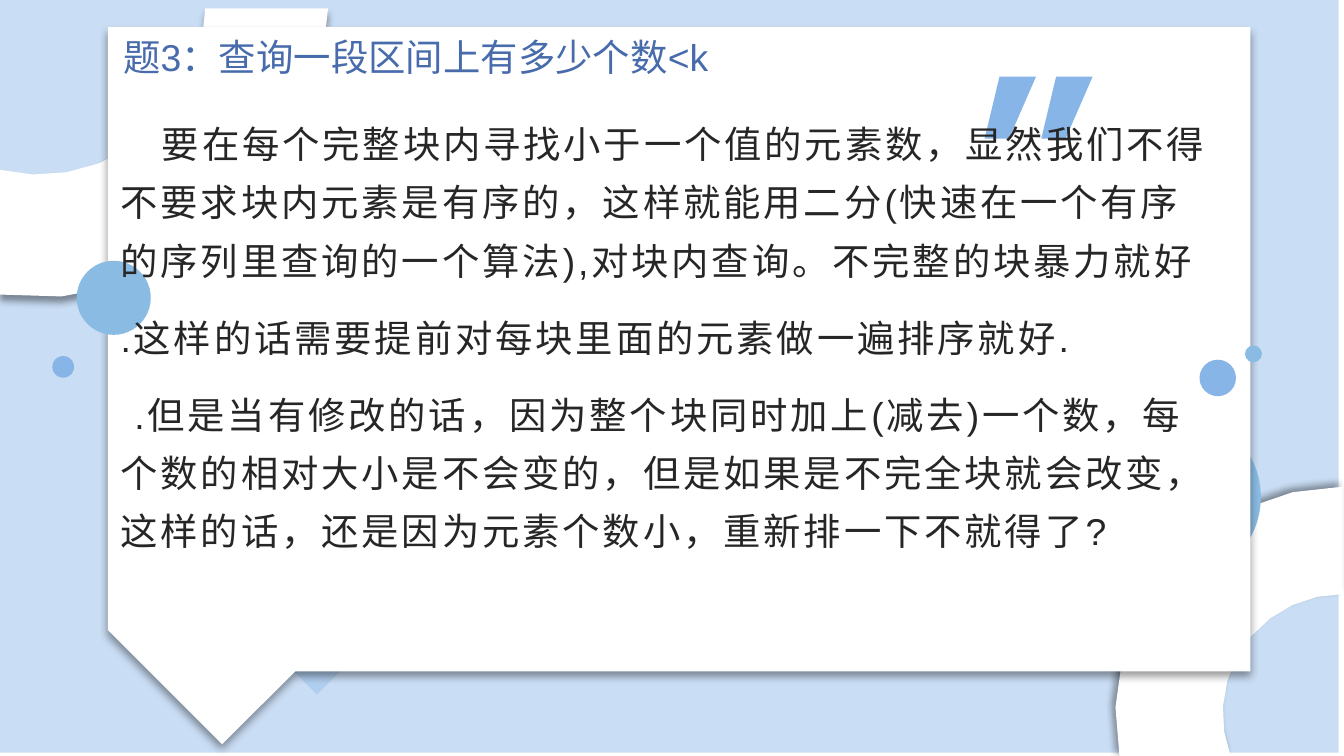
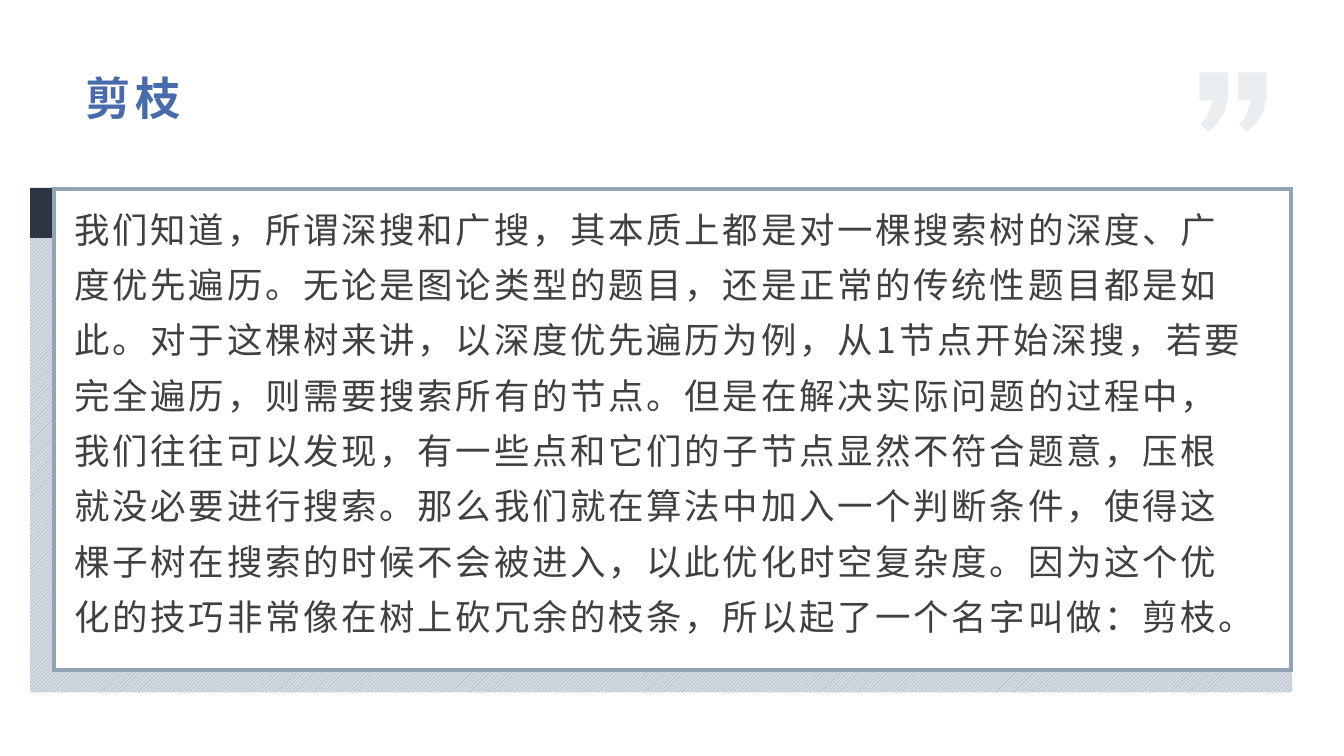
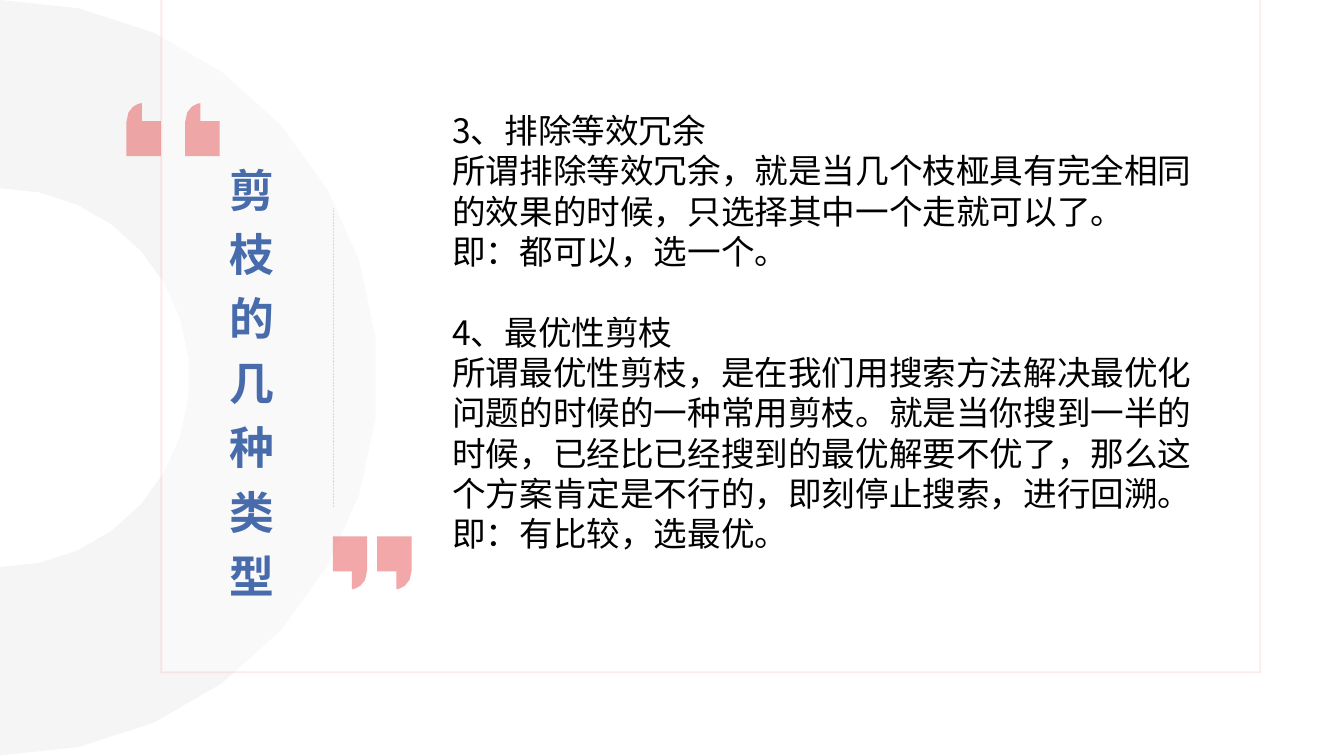
from dataclasses import dataclass
from math import acos, cos, degrees, radians, sin

from lxml.etree import SubElement
from pptx import Presentation
from pptx.dml.color import RGBColor as RGB
from pptx.enum.dml import MSO_LINE as DASH, MSO_PATTERN as PATTERN
from pptx.enum.shapes import MSO_CONNECTOR as CONN, MSO_SHAPE as SHAPE
from pptx.enum.text import MSO_ANCHOR as ANCHOR, MSO_AUTO_SIZE as FIT, PP_ALIGN as ALIGN
from pptx.oxml.ns import qn
from pptx.util import Cm, Pt


@dataclass(frozen=True)
class Theme:
    # colours
    title: str = "476BAB"
    ink: str = "262626"
    gray_ink: str = "404040"
    black: str = "000000"
    white: str = "FFFFFF"
    backdrop: str = "3984D7"
    sky: str = "88B5E7"
    aqua: str = "8ABBE3"
    pale: str = "B0CEEF"
    navy: str = "2C3643"
    steel: str = "93A3B8"
    mist: str = "D6DCE4"
    coral: str = "E96C6C"
    pink: str = "F2A7A7"
    hairline: str = "D9D9D9"
    # fonts and type sizes
    latin: str = "Arial"
    cjk: str = "Noto Sans CJK SC"
    title_small: float = 20
    title_large: float = 24.3
    title_upright: float = 24
    body_large: float = 20
    body: float = 19
    list_text: float = 18


T = Theme()


# ---- fills, lines, shadows ----
def set_alpha(fill_parent, percent):
    clr = next(fill_parent.iter(qn("a:srgbClr")))
    SubElement(clr, qn("a:alpha"), val=str(percent * 1000))


def paint(sp, color, alpha=None):
    sp.shadow.inherit = False
    sp.fill.solid()
    sp.fill.fore_color.rgb = RGB.from_string(color)
    sp.line.fill.background()
    if alpha:
        set_alpha(sp.element.spPr.find(qn("a:solidFill")), alpha)
    return sp


def outline(sp, color, width, alpha=None, dash=None):
    sp.line.color.rgb = RGB.from_string(color)
    sp.line.width = Pt(width)
    if dash:
        sp.line.dash_style = dash
    ln = sp.element.spPr.find(qn("a:ln"))
    if alpha:
        set_alpha(ln, alpha)
    SubElement(ln, qn("a:miter"), lim="800000")


def cast_shadow(sp, direction):
    effects = sp.element.spPr.find(qn("a:effectLst"))
    shadow = SubElement(effects, qn("a:outerShdw"), blurRad=str(Pt(4)), dist=str(Pt(3)),
                        dir=str(direction * 60000), algn="ctr", rotWithShape="0")
    clr = SubElement(shadow, qn("a:srgbClr"), val=T.black)
    SubElement(clr, qn("a:alpha"), val="40000")


# ---- shapes ----
def add_preset(s, kind, box, color, alpha=None):
    return paint(s.shapes.add_shape(kind, *map(Cm, box)), color, alpha)


def add_circle(s, left, top, size, color):
    add_preset(s, SHAPE.OVAL, (left, top, size, size), color)


def add_outline(s, points, color, alpha=None):
    emu = [(Cm(x), Cm(y)) for x, y in points]
    builder = s.shapes.build_freeform(*emu[0], scale=1.0)
    builder.add_line_segments(emu[1:], close=True)
    return paint(builder.convert_to_shape(), color, alpha)


def arc(cx, cy, radius, start, end, step=12):
    count = round(abs(end - start) / step)
    angles = [radians(start + (end - start) * i / count) for i in range(count + 1)]
    return [(cx + radius * cos(a), cy + radius * sin(a)) for a in angles]


def bezier(a, b, c, d, steps=4):
    def point(t):
        u = 1 - t
        return tuple(u ** 3 * p + 3 * u * u * t * q + 3 * u * t * t * v + t ** 3 * w
                     for p, q, v, w in zip(a, b, c, d))
    return [point(i / steps) for i in range(steps + 1)]


def add_ring(s, center, outer, inner, start, outer_end, inner_end, color, alpha=None):
    points = arc(*center, outer, start, outer_end) + arc(*center, inner, inner_end, start)
    return add_outline(s, points, color, alpha)


def add_speech_card(s, left, top, right, bottom, tail_x, tail_h, color):
    tip = bottom + tail_h
    return add_outline(s, [(left, top), (right, top), (right, bottom),
                           (tail_x + tail_h, bottom), (tail_x, tip),
                           (left, tip - (tail_x - left))], color)


def shift(points, left, top):
    return [(left + x, top + y) for x, y in points]


# ---- quote marks, measured from their top left corner ----
SLANTED_MARK = [(0, 1.17), (0.46, 1.17), (0.97, 0), (0.28, 0)]
ROUND_MARK = ([(0, 0), (0.54, 0)]
              + bezier((0.54, 0.48), (0.52, 0.89), (0.16, 1.12), (0.16, 1.12))
              + [(0.02, 0.98)]
              + bezier((0.02, 0.98), (0.02, 0.98), (0.23, 0.83), (0.25, 0.53), 2)[1:]
              + [(0, 0.53)])
SQUARE_MARK = ([(0, 0), (0.65, 0)]
               + bezier((0.65, 0.64), (0.65, 0.94), (0.41, 1), (0.36, 1))
               + [(0.36, 0.66), (0, 0.66)])
SQUARE_MARK_TURNED = [(0.65 - x, 1 - y) for x, y in SQUARE_MARK]


def add_marks(s, mark, lefts, top, color, alpha=None):
    for left in lefts:
        add_outline(s, shift(mark, left, top), color, alpha)


# ---- text ----
def style(p, font, size, color, bold=False, tracking=0, line=None, before=0, indent=0):
    p.alignment = ALIGN.LEFT
    p.space_before = Pt(before)
    if line:
        p.line_spacing = line
    f = p.font
    f.name, f.size, f.bold = font, Pt(size), bold
    f.color.rgb = RGB.from_string(color)
    pPr = p._p.pPr
    if indent:
        pPr.set("marL", "0")
        pPr.set("indent", str(Cm(indent)))
    defaults = pPr.find(qn("a:defRPr"))
    if tracking:
        defaults.set("spc", str(int(tracking * 100)))
    SubElement(defaults, qn("a:ea"), typeface=font)


def set_frame(tf, insets, anchor=ANCHOR.TOP):
    tf.word_wrap = True
    tf.auto_size = FIT.NONE
    tf.vertical_anchor = anchor
    tf.margin_left, tf.margin_top, tf.margin_right, tf.margin_bottom = map(Cm, insets)


def put_title(s, text, box, insets, size, anchor=ANCHOR.TOP, font=T.cjk, **look):
    title = s.shapes.title
    title.left, title.top, title.width, title.height = map(Cm, box)
    title.element.getparent().append(title.element)  # in front of the decoration
    tf = title.text_frame
    set_frame(tf, insets, anchor)
    tf.text = text
    style(tf.paragraphs[0], font, size, T.title, **look)


def add_body(s, box, insets, paragraphs, **look):
    """paragraphs: (text, own settings) pairs."""
    tf = s.shapes.add_textbox(*map(Cm, box)).text_frame
    set_frame(tf, insets)
    for i, (text, own) in enumerate(paragraphs):
        p = tf.add_paragraph() if i else tf.paragraphs[0]
        p.text = text
        style(p, **look, **own)


# ---- slides ----
def query_slide(s):
    add_preset(s, SHAPE.RECTANGLE, (-0.1, -0.05, 25.4, 14.28), T.backdrop, 27)
    accent = add_preset(s, SHAPE.ISOSCELES_TRIANGLE, (6.15, 1.14, 0.94, 0.81), T.sky)
    accent.rotation = 308.2

    # corner rings; the first is cut by the left edge
    cx, cy, outer, inner = 0.74, 0.16, 5.46, 3.14
    ring = add_ring(s, (cx, cy), outer, inner, 0, degrees(acos(-cx / outer)),
                    degrees(acos(-cx / inner)), T.white)
    cast_shadow(ring, 90)
    ring = add_ring(s, (25.37, 13.49), 4.29, 2.26, 270, 169, 159, T.white)
    cast_shadow(ring, 225)
    add_circle(s, 20.68, 7.82, 3.15, T.aqua)

    # speech card and its echo
    add_speech_card(s, 4.24, 2.21, 21.84, 11.99, 5.99, 1.14, T.pale)
    cast_shadow(add_speech_card(s, 2.04, 0.51, 23.63, 12.69, 4.2, 1.38, T.white), 90)
    add_marks(s, SLANTED_MARK, (19.68, 18.61), 1.45, T.sky)
    for left, top, size, color in ((1.45, 4.93, 1.4, T.aqua), (0.99, 6.73, 0.41, T.sky),
                                   (22.67, 6.8, 0.69, T.sky), (23.53, 6.53, 0.32, T.aqua)):
        add_circle(s, left, top, size, color)

    put_title(s, "题3：查询一段区间上有多少个数<k", (2.08, 0.51, 13.61, 1.14),
              (0.25, 0.13, 0.25, 0.13), T.title_small, font=T.latin)
    add_body(s, (2.1, 1.94, 21.11, 9.75), (0.18, 0.1, 0.18, 0.1), [
        ("要在每个完整块内寻找小于一个值的元素数，显然我们不得不要求块内元素是有序的，"
         "这样就能用二分(快速在一个有序的序列里查询的一个算法),对块内查询。"
         "不完整的块暴力就好", {"indent": 0.78}),
        (".这样的话需要提前对每块里面的元素做一遍排序就好.", {"before": 10}),
        (".但是当有修改的话，因为整个块同时加上(减去)一个数，每个数的相对大小是不会变的，"
         "但是如果是不完全块就会改变，这样的话，还是因为元素个数小，重新排一下不就得了?",
         {"before": 10, "indent": 0.26}),
    ], font=T.latin, size=T.body_large, color=T.ink, tracking=1.5, line=1.3)


def pruning_slide(s):
    # framed panel over a hatched base
    add_preset(s, SHAPE.RECTANGLE, (0.57, 3.55, 0.46, 0.97), T.navy)
    base = add_preset(s, SHAPE.RECTANGLE, (0.57, 4.5, 23.85, 8.59), T.mist)
    base.fill.patterned()
    base.fill.pattern = PATTERN.LIGHT_UPWARD_DIAGONAL
    base.fill.fore_color.rgb = RGB.from_string(T.steel)
    base.fill.back_color.rgb = RGB.from_string(T.mist)
    panel = add_preset(s, SHAPE.RECTANGLE, (1.02, 3.58, 23.38, 9.09), T.white)
    outline(panel, T.steel, 2.25)

    add_body(s, (1.21, 3.69, 22.61, 8.66), (0.2, 0, 0.18, 0), [
        ("我们知道，所谓深搜和广搜，其本质上都是对一棵搜索树的深度、广度优先遍历。"
         "无论是图论类型的题目，还是正常的传统性题目都是如此。对于这棵树来讲，"
         "以深度优先遍历为例，从1节点开始深搜，若要完全遍历，则需要搜索所有的节点。"
         "但是在解决实际问题的过程中，我们往往可以发现，有一些点和它们的子节点显然不符合题意，"
         "压根就没必要进行搜索。那么我们就在算法中加入一个判断条件，"
         "使得这棵子树在搜索的时候不会被进入，以此优化时空复杂度。"
         "因为这个优化的技巧非常像在树上砍冗余的枝条，所以起了一个名字叫做：剪枝。", {}),
    ], font=T.cjk, size=T.body, color=T.gray_ink, tracking=1.5, line=1.3)
    put_title(s, "剪枝", (1.41, 1.25, 14.78, 1.32), (0.2, 0.08, 0.13, 0.08),
              T.title_large, bold=True, tracking=3)
    add_marks(s, ROUND_MARK, (22.67, 23.4), 1.37, T.mist, 50)


def types_slide(s):
    # half ring, thin frame and divider
    add_ring(s, (0, 7.14), 7.14, 3.58, -90, 90, 90, T.black, 4)
    frame = add_preset(s, SHAPE.RECTANGLE, (3.05, -0.46, 20.77, 13.17), T.white, 48)
    outline(frame, T.pink, 1, 21)
    divider = s.shapes.add_connector(CONN.STRAIGHT, Cm(6.3), Cm(3.94), Cm(6.3), Cm(9.58))
    outline(divider, T.hairline, 0.1, dash=DASH.DASH)
    SubElement(divider.element.spPr, qn("a:effectLst"))

    add_marks(s, SQUARE_MARK, (7.13, 6.29), 10.14, T.coral, 59)
    add_marks(s, SQUARE_MARK_TURNED, (2.39, 3.5), 1.95, T.coral, 59)

    put_title(s, "剪枝的几种类型", (4.15, 2.15, 1.78, 9.96), (0.18, 0.1, 0.18, 0.1),
              T.title_upright, ANCHOR.MIDDLE, bold=True, tracking=3, line=1.2)
    add_body(s, (8.3, 1.95, 14.63, 8.71), (0.25, 0.13, 0.25, 0.13), [
        ("3、排除等效冗余", {}),
        ("所谓排除等效冗余，就是当几个枝桠具有完全相同的效果的时候，"
         "只选择其中一个走就可以了。", {}),
        ("即：都可以，选一个。", {}),
        ("4、最优性剪枝", {"before": 21.6}),
        ("所谓最优性剪枝，是在我们用搜索方法解决最优化问题的时候的一种常用剪枝。"
         "就是当你搜到一半的时候，已经比已经搜到的最优解要不优了，"
         "那么这个方案肯定是不行的，即刻停止搜索，进行回溯。", {}),
        ("即：有比较，选最优。", {}),
    ], font=T.cjk, size=T.list_text, color=T.black)


def main():
    prs = Presentation()
    prs.slide_width, prs.slide_height = Cm(25.4), Cm(14.29)
    title_only = prs.slide_layouts[5]
    for build in (query_slide, pruning_slide, types_slide):
        build(prs.slides.add_slide(title_only))
    prs.save("out.pptx")


if __name__ == "__main__":
    main()
